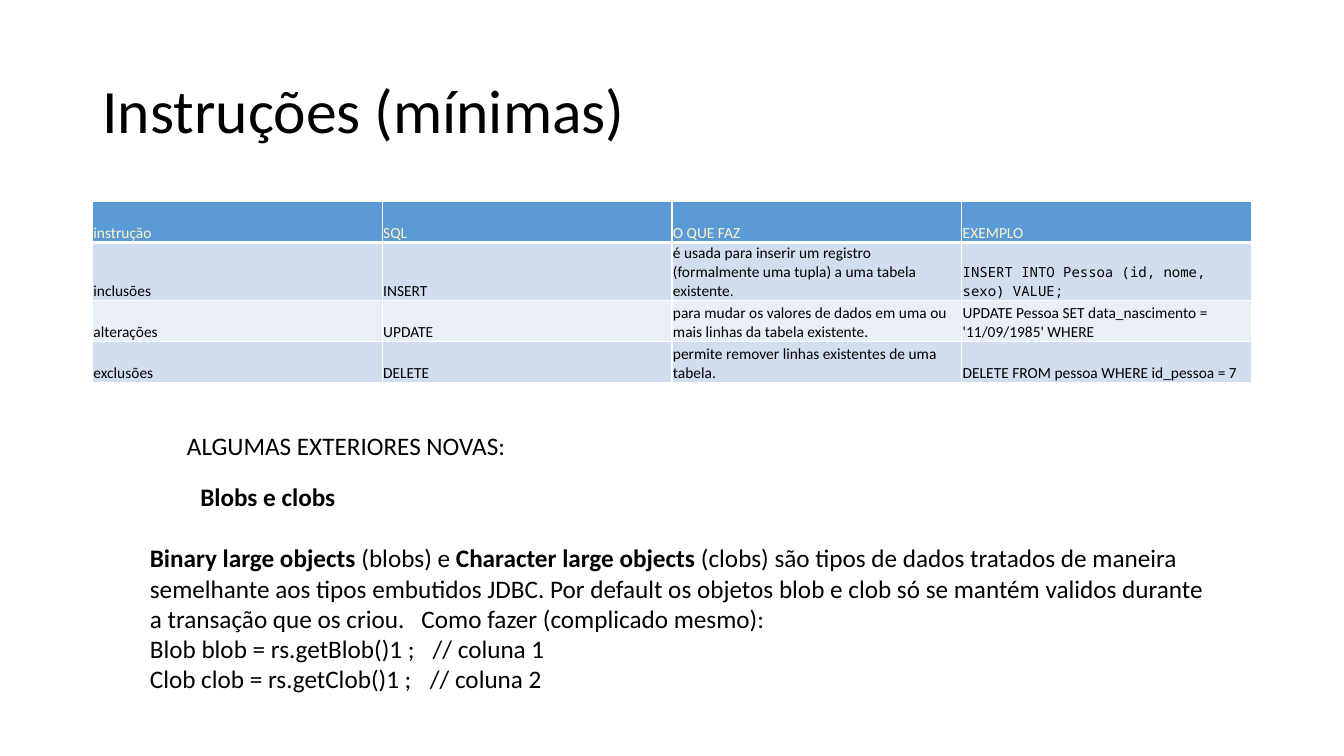
from lxml.etree import SubElement
from pptx import Presentation
from pptx.dml.color import RGBColor
from pptx.enum.text import MSO_ANCHOR as Anchor, MSO_AUTO_SIZE as AutoSize, PP_ALIGN as Align
from pptx.oxml.ns import qn
from pptx.util import Pt

TITLE_ONLY = 5
HEADER = ["instrução", "SQL", "O QUE FAZ", "EXEMPLO"]
STATEMENTS = [
    ["inclusões", "INSERT",
     "é usada para inserir um registro (formalmente uma tupla) a uma tabela existente.",
     "INSERT INTO Pessoa (id, nome, sexo) VALUE;"],
    ["alterações", "UPDATE",
     "para mudar os valores de dados em uma ou mais linhas da tabela existente.",
     "UPDATE Pessoa SET data_nascimento = '11/09/1985' WHERE"],
    ["exclusões", "DELETE",
     "permite remover linhas existentes de uma tabela.",
     "DELETE FROM pessoa WHERE id_pessoa = 7"],
]
LOB_DEFINITION = [
    ("Binary large objects", True), (" (blobs) e ", False),
    ("Character large objects", True),
    (" (clobs) são tipos de dados tratados de maneira", False),
]
# Each line with the tab stop that sets its gap, if it has one
LOB_LINES = [
    ("semelhante aos tipos embutidos JDBC. Por default os objetos blob e clob "
     "só se mantém validos durante", None),
    ("a transação que os criou.\tComo fazer (complicado mesmo):", 194),
    ("Blob blob = rs.getBlob()1 ;\t// coluna 1", 202),
    ("Clob clob = rs.getClob()1 ;\t// coluna 2", 200),
]


def color(value):
    return RGBColor.from_string(value)


class SlideBuilder:
    font = "Calibri"
    mono = "Noto Sans Mono"
    ink = "000000"
    white = "FFFFFF"
    header_ink = "FFF2CC"
    header_fill = "5B9BD5"
    band_fills = ["D2DEEF", "EAEFF7"]

    def __init__(self, page):
        self.page = page

    def format(self, para, size, ink=ink, name=font):
        for span in para.runs:
            span.font.size, span.font.name = Pt(size), name
            span.font.color.rgb = color(ink)

    def title(self, text, left, top, width, height):
        box = self.page.shapes.title
        box.left, box.top, box.width, box.height = map(Pt, (left, top, width, height))
        frame = box.text_frame
        frame.text = text
        frame.auto_size = AutoSize.NONE
        frame.vertical_anchor = Anchor.MIDDLE
        para = frame.paragraphs[0]
        para.alignment, para.line_spacing = Align.LEFT, 0.9
        self.format(para, 44)

    def text_frame(self, left, top, width, height):
        box = self.page.shapes.add_textbox(*map(Pt, (left, top, width, height)))
        box.text_frame.word_wrap = False
        box.text_frame.auto_size = AutoSize.SHAPE_TO_FIT_TEXT
        return box.text_frame

    def line(self, para, spans, indent=0, before=0, tab=None):
        """Fill a paragraph with (text, bold) spans."""
        properties = para._p.get_or_add_pPr()
        properties.set("marL", str(Pt(indent)))
        if tab:
            stops = SubElement(properties, qn("a:tabLst"))
            SubElement(stops, qn("a:tab"), pos=str(Pt(tab)), algn="l")
        para.alignment, para.space_before = Align.LEFT, Pt(before)
        for text, bold in spans:
            span = para.add_run()
            span.text, span.font.bold = text, bold
        self.format(para, 18)

    def borders(self, cell, top, bottom):
        properties = cell._tc.get_or_add_tcPr()
        for side, width in zip("LRTB", (1, 1, top, bottom)):
            edge = SubElement(properties, qn(f"a:ln{side}"), w=str(Pt(width)))
            fill = SubElement(edge, qn("a:solidFill"))
            SubElement(fill, qn("a:srgbClr"), val=self.white)

    def cell(self, cell, text, fill, ink, top=1, bottom=1, size=11, name=font):
        self.borders(cell, top, bottom)
        cell.fill.solid()
        cell.fill.fore_color.rgb = color(fill)
        cell.margin_left = cell.margin_right = cell.margin_top = Pt(0.75)
        cell.margin_bottom = Pt(0)
        cell.vertical_anchor = Anchor.BOTTOM
        cell.text = text
        para = cell.text_frame.paragraphs[0]
        self.format(para, size, ink, name)
        para.runs[0].font.bold = False

    def table(self, header, rows, left, top, width, row_height):
        count = len(rows) + 1
        grid = self.page.shapes.add_table(
            count, len(header), *map(Pt, (left, top, width, row_height * count))).table
        for column, text in enumerate(header):
            self.cell(grid.cell(0, column), text, self.header_fill, self.header_ink, bottom=3)
        for index, row in enumerate(rows):
            for column, text in enumerate(row):
                is_code = text.startswith("INSERT INTO")
                self.cell(grid.cell(index + 1, column), text,
                          self.band_fills[index % 2], self.ink,
                          top=1 if index else 3,
                          size=10 if is_code else 11,
                          name=self.mono if is_code else self.font)


def main():
    deck = Presentation()
    deck.slide_width, deck.slide_height = Pt(960), Pt(540)
    builder = SlideBuilder(deck.slides.add_slide(deck.slide_layouts[TITLE_ONLY]))

    builder.title("Instruções (mínimas)", 66, 28.75, 828, 104.4)
    builder.table(HEADER, STATEMENTS, 66, 144, 828, 29.3)

    heading = builder.text_frame(126.5, 304, 244, 29)
    builder.line(heading.paragraphs[0], [("ALGUMAS EXTERIORES NOVAS:", False)])

    lobs = builder.text_frame(100, 340.5, 780.5, 181.5)
    builder.line(lobs.paragraphs[0], [("Blobs e clobs", True)], indent=36)
    builder.line(lobs.add_paragraph(), LOB_DEFINITION, before=22)
    for text, tab in LOB_LINES:
        builder.line(lobs.add_paragraph(), [(text, False)], tab=tab)

    deck.save("out.pptx")


if __name__ == "__main__":
    main()
